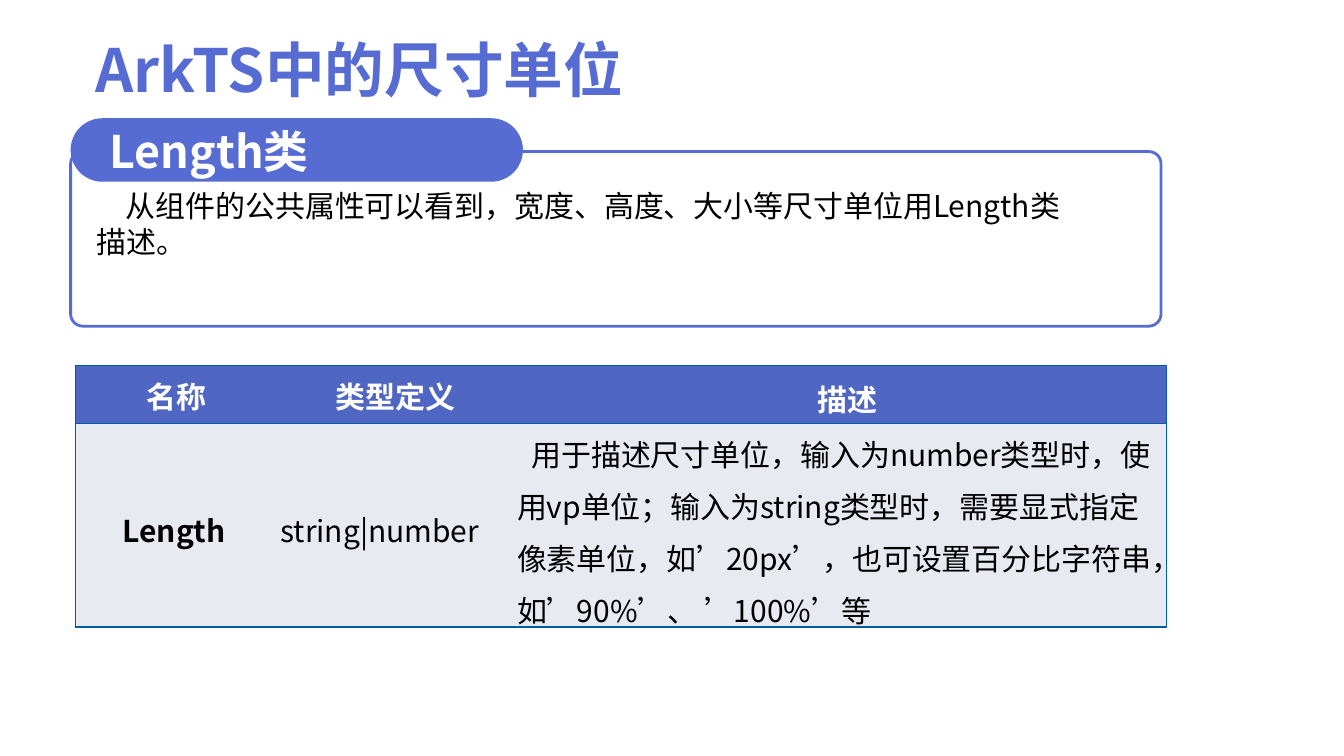
import dataclasses

import pptx
import pptx.dml.color
import pptx.enum.shapes
import pptx.enum.text
import pptx.oxml
import pptx.oxml.ns
import pptx.util
from pptx.util import Cm

ALIGN = pptx.enum.text.PP_ALIGN
ANCHOR = pptx.enum.text.MSO_ANCHOR


@dataclasses.dataclass(frozen=True)
class Theme:
    font: str = "Noto Sans CJK SC"
    accent: str = "566CD3"
    header: str = "4F67C3"
    body: str = "E7EAF0"
    border: str = "005DA2"
    white: str = "FFFFFF"
    black: str = "000000"
    title_size: float = 42.6
    label_size: float = 32
    text_size: float = 21.4


THEME = Theme()


def rgb(value):
    return pptx.dml.color.RGBColor.from_string(value)


def xml(text):
    return pptx.oxml.parse_xml(text.replace(">", f' {pptx.oxml.ns.nsdecls("a")}>', 1))


def write(frame, text, size, color, bold=False, align=ALIGN.LEFT,
          left=0, indent=0, spacing=1.2):
    """Fill a text frame with one formatted paragraph; left and indent are in cm."""
    frame.text = text
    frame.word_wrap = True
    para = frame.paragraphs[0]
    para.alignment = align
    para.line_spacing = spacing
    properties = para._p.get_or_add_pPr()
    properties.set("marL", str(Cm(left)))
    properties.set("indent", str(Cm(indent)))
    for span in para.runs:
        span.font.size = pptx.util.Pt(size)
        span.font.bold = bold
        span.font.color.rgb = rgb(color)
        span.font.name = THEME.font
        span.font._element.set("lang", "zh-CN")
        span.font._element.append(xml(f'<a:ea typeface="{THEME.font}"></a:ea>'))


def set_margins(target, side, top):
    target.margin_left = target.margin_right = Cm(side)
    target.margin_top = target.margin_bottom = Cm(top)


def place(shape, left, top, width, height):
    shape.left, shape.top = Cm(left), Cm(top)
    shape.width, shape.height = Cm(width), Cm(height)


def add_title(page, text):
    title = page.shapes.title
    place(title, 2.41, 0.46, 29.54, 2.18)
    set_margins(title.text_frame, 0, 0)
    title.text_frame.vertical_anchor = ANCHOR.TOP
    title.text_frame.auto_size = pptx.enum.text.MSO_AUTO_SIZE.NONE
    write(title.text_frame, text, THEME.title_size, THEME.accent, bold=True)


def add_text(page, area, text, size, color, anchor=ANCHOR.TOP, **style):
    box = page.shapes.add_textbox(*map(Cm, area))
    set_margins(box.text_frame, 0.25, 0.13)
    box.text_frame.vertical_anchor = anchor
    write(box.text_frame, text, size, color, **style)


def add_rounded(page, area, rounding, filled):
    """Draw a rounded rectangle, either solid or as an outline."""
    kind = pptx.enum.shapes.MSO_SHAPE.ROUNDED_RECTANGLE
    shape = page.shapes.add_shape(kind, *map(Cm, area))
    shape.shadow.inherit = False
    shape.adjustments[0] = rounding
    if filled:
        shape.fill.solid()
        shape.fill.fore_color.rgb = rgb(THEME.accent)
        shape.line.fill.background()
    else:
        shape.fill.background()
        shape.line.color.rgb = rgb(THEME.accent)
        shape.line.width = pptx.util.Pt(2)


def set_borders(cell, visible):
    """Draw the named sides (of L, R, T, B) and hide the others."""
    properties = cell._tc.get_or_add_tcPr()
    for side in "LRTB":
        paint = (f'<a:solidFill><a:srgbClr val="{THEME.border}"/></a:solidFill>'
                 if side in visible else "<a:noFill/>")
        properties.append(xml(f'<a:ln{side} w="12700">{paint}</a:ln{side}>'))


def add_table(page, area, widths, heights, rows):
    """Each cell of rows is a text with its paragraph style."""
    frame = page.shapes.add_table(len(rows), len(widths), *map(Cm, area))
    table = frame.table
    table.horz_banding = False
    for column, width in zip(table.columns, widths):
        column.width = Cm(width)
    for row, height in zip(table.rows, heights):
        row.height = Cm(height)
    last = len(widths) - 1
    for i, row in enumerate(rows):
        fill, color = (THEME.body, THEME.black) if i else (THEME.header, THEME.white)
        for j, (text, anchor, style) in enumerate(row):
            cell = table.cell(i, j)
            set_borders(cell, "TB" + ("L" if j == 0 else "") + ("R" if j == last else ""))
            cell.fill.solid()
            cell.fill.fore_color.rgb = rgb(fill)
            cell.vertical_anchor = anchor
            set_margins(cell, 0.08, 0)
            write(cell.text_frame, text, THEME.text_size, color, indent=0.36, **style)


def main():
    deck = pptx.Presentation()
    deck.slide_width, deck.slide_height = Cm(33.87), Cm(19.05)
    page = deck.slides.add_slide(deck.slide_layouts[5])

    add_title(page, "ArkTS中的尺寸单位")
    add_text(page, (2.18, 4.6, 25.45, 2.44),
             "从组件的公共属性可以看到，宽度、高度、大小等尺寸单位用Length类描述。",
             THEME.text_size, THEME.black, indent=0.74, spacing=1.0)
    add_rounded(page, (1.78, 2.98, 11.4, 1.6), 0.5, filled=True)
    add_rounded(page, (1.78, 3.82, 27.48, 4.4), 0.07, filled=False)
    add_text(page, (2.51, 2.92, 10.57, 1.5), "Length类", THEME.label_size,
             THEME.white, anchor=ANCHOR.MIDDLE, bold=True)

    heading = {"bold": True, "align": ALIGN.CENTER}
    add_table(page, (1.91, 9.2, 27.48, 6.6), (4.72, 6.32, 16.44), (1.47, 5.13), [
        [("名称", ANCHOR.TOP, heading),
         ("类型定义", ANCHOR.TOP, heading),
         ("描述", ANCHOR.MIDDLE, heading)],
        [("Length", ANCHOR.MIDDLE, {"bold": True, "left": 0.74}),
         ("string|number", ANCHOR.MIDDLE, {}),
         ("用于描述尺寸单位，输入为number类型时，使用vp单位；输入为string类型时，"
          "需要显式指定像素单位，如’20px’，也可设置百分比字符串，如’90%’、 ’100%’等",
          ANCHOR.MIDDLE, {})],
    ])
    deck.save("out.pptx")


if __name__ == "__main__":
    main()
